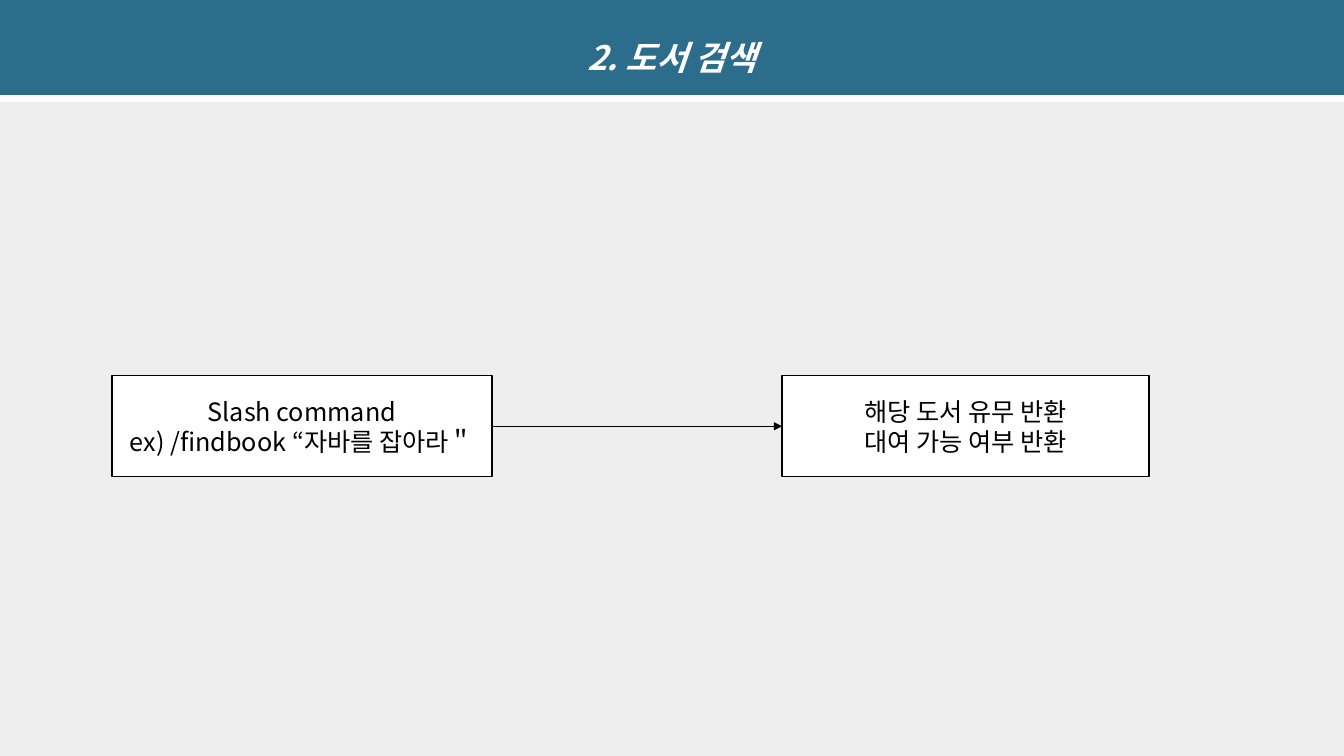
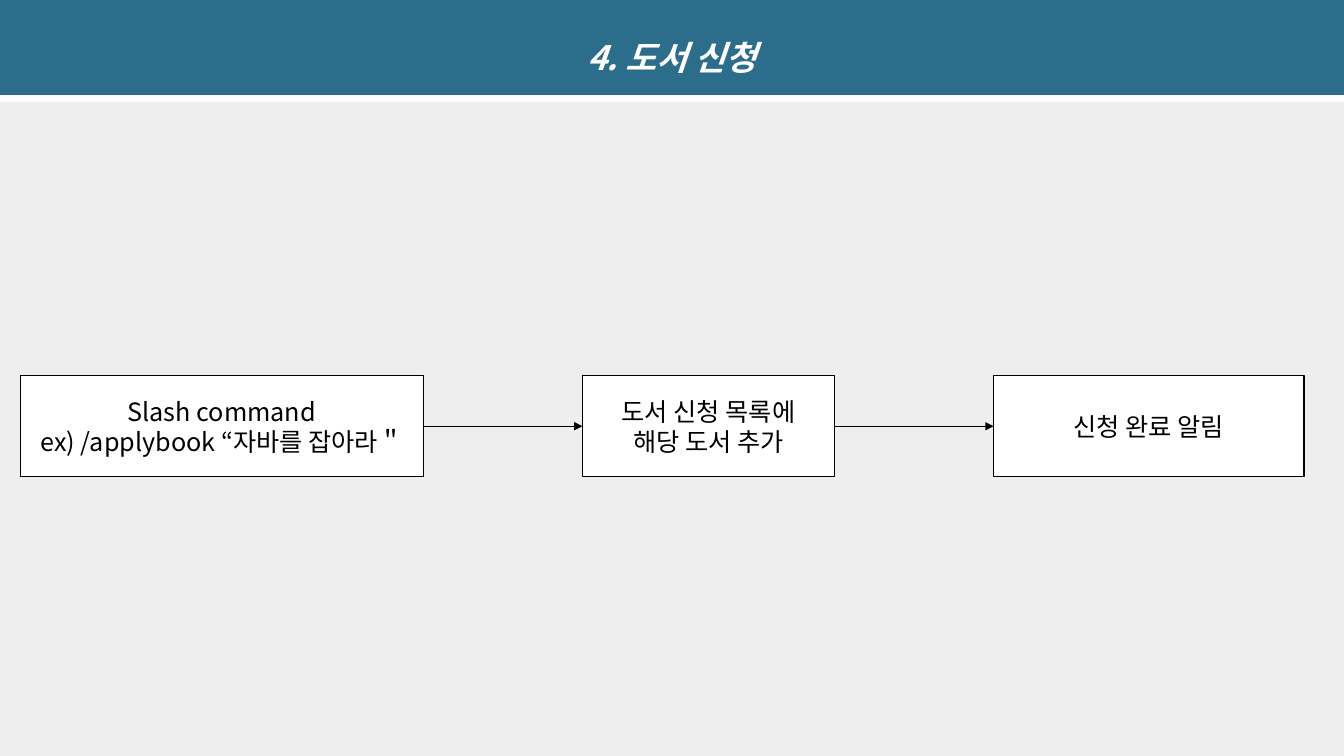
import pptx
import pptx.dml.color
import pptx.enum.shapes
import pptx.enum.text
import pptx.oxml.ns
import pptx.util
from lxml import etree

Cm = pptx.util.Cm
Pt = pptx.util.Pt
qn = pptx.oxml.ns.qn

SLIDES = [
    {
        "title": "2. 도서 검색",
        "left": 2.82,
        "gap": 7.31,
        "steps": [
            (9.58, ["Slash command", "ex) /findbook “자바를 잡아라＂"]),
            (9.25, ["해당 도서 유무 반환", "대여 가능 여부 반환"]),
        ],
    },
    {
        "title": "4. 도서 신청",
        "left": 0.51,
        "gap": 4.01,
        "steps": [
            (10.16, ["Slash command", "ex) /applybook “자바를 잡아라＂"]),
            (6.35, ["도서 신청 목록에", "해당 도서 추가"]),
            (7.82, ["신청 완료 알림"]),
        ],
    },
]

COLORS = {"background": "EEEEEE", "band": "2C6D8B", "light": "FFFFFF", "dark": "000000"}
FONT = "Noto Sans CJK KR"
SLIDE_WIDTH, SLIDE_HEIGHT = 33.87, 19.05
BAND_HEIGHT = 2.39
STEP_TOP, STEP_HEIGHT = 9.47, 2.54
LEFT_SITE, RIGHT_SITE = 1, 3


def color(name):
    return pptx.dml.color.RGBColor.from_string(COLORS[name])


def paint(shape, name):
    shape.fill.solid()
    shape.fill.fore_color.rgb = color(name)


def write_text(shape, lines, size=18, font_color="dark", bold=False, italic=False, spacing=1.0):
    frame = shape.text_frame
    frame.word_wrap = True
    frame.auto_size = pptx.enum.text.MSO_AUTO_SIZE.NONE
    frame.vertical_anchor = pptx.enum.text.MSO_ANCHOR.MIDDLE
    for index, line in enumerate(lines):
        paragraph = frame.add_paragraph() if index else frame.paragraphs[0]
        paragraph.alignment = pptx.enum.text.PP_ALIGN.CENTER
        paragraph.line_spacing = spacing
        run = paragraph.add_run()
        run.text = line
        run.font.name = FONT
        run.font.size = Pt(size)
        run.font.bold = bold
        run.font.italic = italic
        run.font.color.rgb = color(font_color)
        east_asian = etree.SubElement(run.font._element, qn("a:ea"))
        east_asian.set("typeface", FONT)


def add_title_band(slide, title):
    band = slide.shapes.title
    band.left, band.top = Cm(0), Cm(0)
    band.width, band.height = Cm(SLIDE_WIDTH), Cm(BAND_HEIGHT)
    paint(band, "band")
    effects = etree.SubElement(band._element.spPr, qn("a:effectLst"))
    shadow = etree.SubElement(
        effects, qn("a:outerShdw"), dist=str(Pt(5)), dir="5400000", algn="t", rotWithShape="0"
    )
    etree.SubElement(shadow, qn("a:srgbClr"), val=COLORS["light"])
    write_text(band, [title], size=24, font_color="light", bold=True, italic=True, spacing=1.5)


def add_step(slide, left, width, lines):
    step = slide.shapes.add_shape(
        pptx.enum.shapes.MSO_SHAPE.RECTANGLE, Cm(left), Cm(STEP_TOP), Cm(width), Cm(STEP_HEIGHT)
    )
    step.shadow.inherit = False
    paint(step, "light")
    step.line.color.rgb = color("dark")
    step.line.width = Pt(1)
    write_text(step, lines)
    return step


def add_arrow(slide, source, target):
    arrow = slide.shapes.add_connector(pptx.enum.shapes.MSO_CONNECTOR.STRAIGHT, 0, 0, 0, 0)
    arrow.begin_connect(source, RIGHT_SITE)
    arrow.end_connect(target, LEFT_SITE)
    arrow.line.color.rgb = color("dark")
    arrow.line.width = Pt(0.5)
    etree.SubElement(arrow.line._get_or_add_ln(), qn("a:tailEnd"), type="triangle")
    etree.SubElement(arrow._element.spPr, qn("a:effectLst"))


def add_flow(slide, left, gap, steps):
    previous = None
    for width, lines in steps:
        step = add_step(slide, left, width, lines)
        if previous is not None:
            add_arrow(slide, previous, step)
        previous = step
        left += width + gap


def main():
    presentation = pptx.Presentation()
    presentation.slide_width = Cm(SLIDE_WIDTH)
    presentation.slide_height = Cm(SLIDE_HEIGHT)
    paint(presentation.slide_master.background, "background")
    title_only = presentation.slide_layouts.get_by_name("Title Only")
    for content in SLIDES:
        slide = presentation.slides.add_slide(title_only)
        add_title_band(slide, content["title"])
        add_flow(slide, content["left"], content["gap"], content["steps"])
    presentation.save("out.pptx")


if __name__ == "__main__":
    main()
